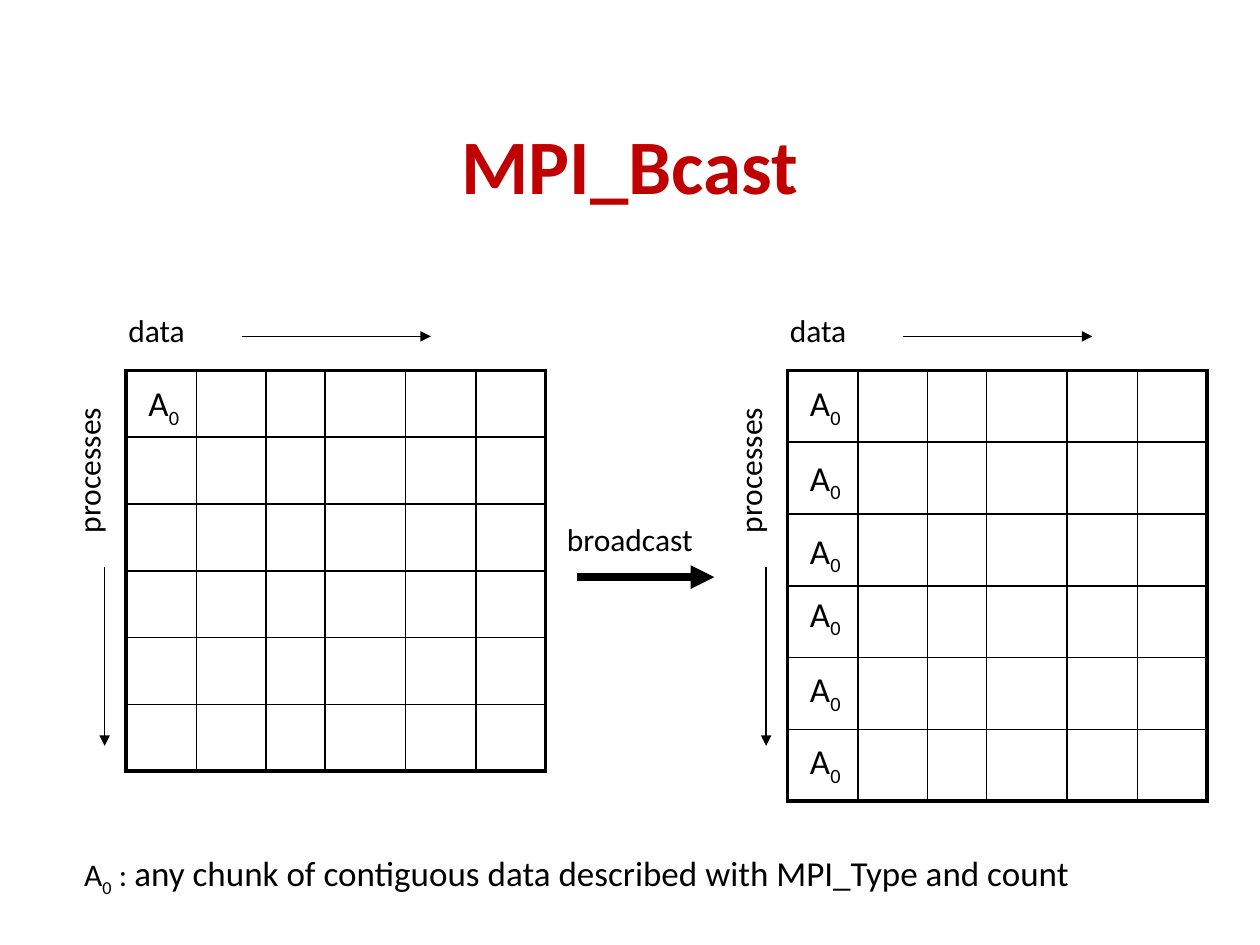
from lxml import etree
from pptx import Presentation
from pptx import util as u
from pptx.dml.color import RGBColor
from pptx.enum import shapes, text
from pptx.oxml import ns

BLACK = RGBColor(0x00, 0x00, 0x00)
RED = RGBColor(0xC0, 0x00, 0x00)
FONT = "Calibri"
THIN, THICK = 1, 2.25

# Content: runs are (text, size, is_subscript)
TITLE = "MPI_Bcast"
CHUNK = [("A", 20, False), ("0", 20, True)]
FOOTNOTE = [("A", 18, False), ("0", 18, True), (" : ", 18, False),
            ("any chunk of contiguous data described with MPI_Type and count", 20, False)]
COLUMNS = [0.56, 0.55, 0.47, 0.64, 0.56, 0.55]
ROW_COUNT = 6
GRID_TOP = 2.94
# Each grid: left edge, row height, tops of the chunk labels
GRIDS = [
    (1, 0.53, [2.98]),
    (6.25, 0.57, [2.98, 3.57, 4.15, 4.65, 5.25, 5.82]),
]


def add_text(slide, box, runs, color=BLACK, bold=False, rotation=0,
             align=text.PP_ALIGN.LEFT, anchor=text.MSO_ANCHOR.TOP):
    shape = slide.shapes.add_textbox(*map(u.Inches, box))
    shape.rotation = rotation
    frame = shape.text_frame
    frame.word_wrap = True
    frame.vertical_anchor = anchor
    paragraph = frame.paragraphs[0]
    paragraph.alignment = align
    for content, size, subscript in runs:
        run = paragraph.add_run()
        run.text = content
        for name, value in {"name": FONT, "size": u.Pt(size), "bold": bold}.items():
            setattr(run.font, name, value)
        run.font.color.rgb = color
        if subscript:
            run.font._element.set("baseline", "-25000")


def add_arrow(slide, ends, width):
    arrow = slide.shapes.add_connector(shapes.MSO_CONNECTOR.STRAIGHT, *map(u.Inches, ends))
    arrow.line.color.rgb = BLACK
    arrow.line.width = u.Pt(width)
    etree.SubElement(arrow.line._get_or_add_ln(), ns.qn("a:tailEnd"), type="triangle")
    etree.SubElement(arrow._element.spPr, ns.qn("a:effectLst"))


def set_borders(cell, widths):
    properties = cell._tc.get_or_add_tcPr()
    for index, (side, width) in enumerate(widths.items()):
        line = etree.Element(ns.qn(f"a:ln{side}"), w=str(u.Pt(width)))
        fill = etree.SubElement(line, ns.qn("a:solidFill"))
        etree.SubElement(fill, ns.qn("a:srgbClr"), val=str(BLACK))
        properties.insert(index, line)


def add_grid(slide, left, row_height):
    table = slide.shapes.add_table(
        ROW_COUNT, len(COLUMNS), u.Inches(left), u.Inches(GRID_TOP),
        u.Inches(sum(COLUMNS)), u.Inches(row_height * ROW_COUNT)).table
    table.first_row = table.horz_banding = False
    for column, width in zip(table.columns, COLUMNS):
        column.width = u.Inches(width)
    for r, row in enumerate(table.rows):
        row.height = u.Inches(row_height)
        for c, cell in enumerate(row.cells):
            cell.fill.background()
            outer = {"L": c == 0, "R": c == len(COLUMNS) - 1,
                     "T": r == 0, "B": r == ROW_COUNT - 1}
            set_borders(cell, {side: THICK if edge else THIN for side, edge in outer.items()})


def main():
    presentation = Presentation()
    presentation.slide_width, presentation.slide_height = u.Inches(10), u.Inches(7.5)
    slide = presentation.slides.add_slide(presentation.slide_layouts[6])

    # Title
    add_text(slide, (0.75, 0.67, 8.5, 1.25), [(TITLE, 44, False)], RED, True,
             align=text.PP_ALIGN.CENTER, anchor=text.MSO_ANCHOR.MIDDLE)

    # Grids before and after the broadcast, with their axes
    for left, row_height, label_tops in GRIDS:
        add_grid(slide, left, row_height)
        add_text(slide, (left - 0.99, 3.34, 1.48, 0.5), [("processes", 18, False)], rotation=270)
        add_arrow(slide, (left - 0.17, 4.5, left - 0.17, 5.92), 0.75)
        add_text(slide, (left - 0.08, 2.42, 0.76, 0.5), [("data", 18, False)])
        add_arrow(slide, (left + 0.92, 2.67, left + 2.42, 2.67), 0.75)
        for top in label_tops:
            add_text(slide, (left + 0.08, top, 0.49, 0.43), CHUNK)

    # Broadcast step and footnote
    add_arrow(slide, (4.58, 4.58, 5.67, 4.58), 4.5)
    add_text(slide, (4.4, 4.08, 1.48, 0.5), [("broadcast", 18, False)])
    add_text(slide, (0.57, 6.71, 8.2, 0.5), FOOTNOTE)

    presentation.save("out.pptx")


if __name__ == "__main__":
    main()
